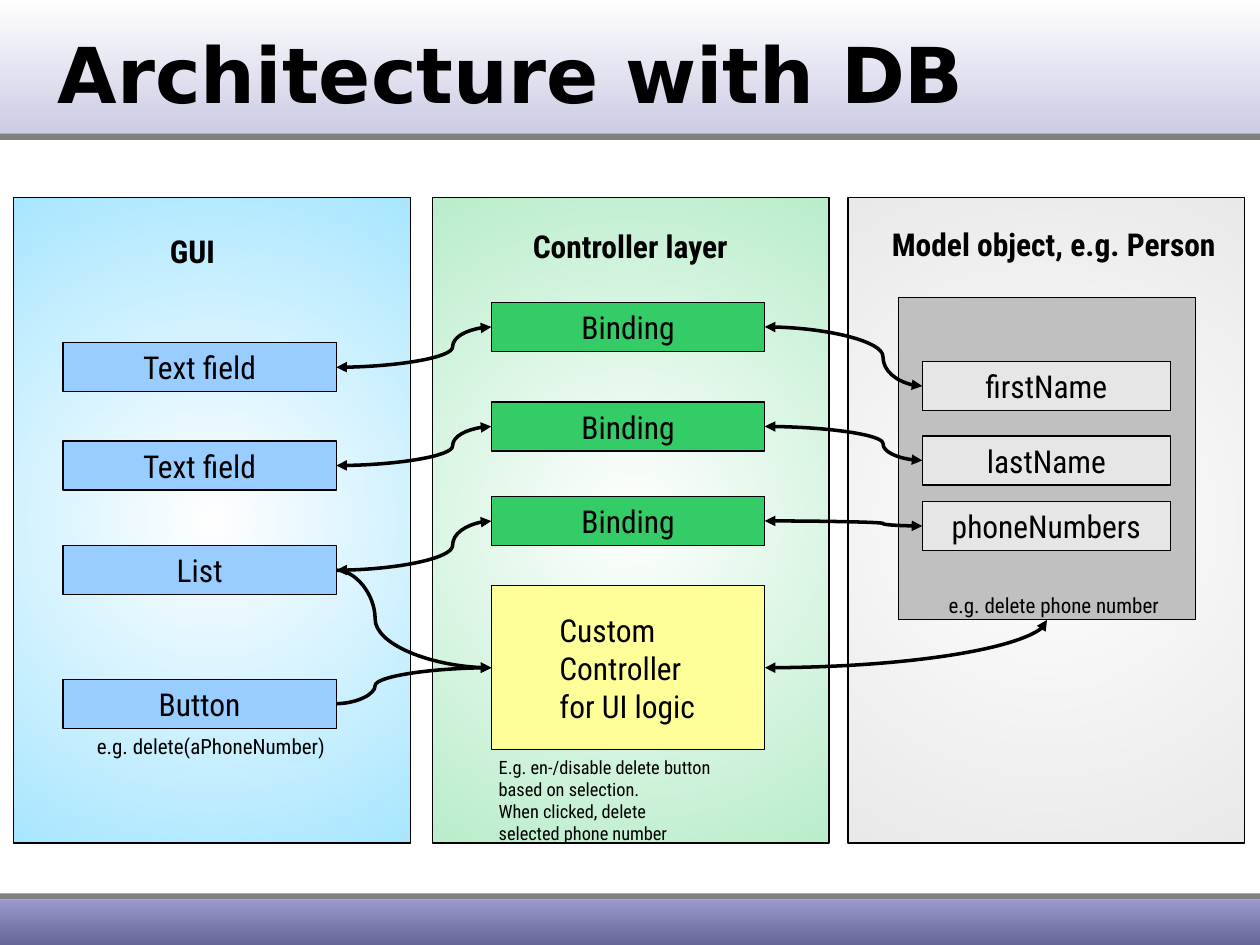
"""Build the "Architecture with DB" slide."""
from typing import NamedTuple

from pptx import Presentation
from pptx.dml.color import RGBColor
from pptx.enum.shapes import MSO_CONNECTOR, MSO_SHAPE
from pptx.enum.text import MSO_ANCHOR, PP_ALIGN
from pptx.oxml import parse_xml
from pptx.oxml.ns import nsdecls, qn
from pptx.util import Pt

PX = 9144
RECT = MSO_SHAPE.RECTANGLE
CURVE = MSO_CONNECTOR.CURVE
MIDDLE, TOP = MSO_ANCHOR.MIDDLE, MSO_ANCHOR.TOP
LEFT, CENTER = PP_ALIGN.LEFT, PP_ALIGN.CENTER
SIDE_LEFT, SIDE_BOTTOM, SIDE_RIGHT = 1, 2, 3
FONT = "Roboto Condensed"
BLACK, GRAY, SILVER = "000000", "808080", "C0C0C0"
BLUE, GREEN, YELLOW, PALE = "99CCFF", "33CC66", "FFFF99", "E6E6E6"
LINEAR = '<a:lin ang="5400000" scaled="0"/>'
RADIAL = ('<a:path path="circle"><a:fillToRect l="50000" t="50000" '
          'r="50000" b="50000"/></a:path>')


class Stop(NamedTuple):
    """A gradient stop with its opacity in percent."""
    color: str
    alpha: int = 100


class Box(NamedTuple):
    """A captioned, outlined rectangle."""
    key: str
    text: str
    x: int
    y: int
    w: int
    h: int
    fill: str


class Label(NamedTuple):
    """A free-standing text."""
    text: str
    x: int
    y: int
    w: int
    h: int
    size: float = 18
    bold: bool = False
    font: str = FONT
    inset: int = 10
    anchor: int = TOP


class Link(NamedTuple):
    """A curved arrow between the sides of two boxes."""
    start: str
    start_side: int
    end: str
    end_side: int
    two_way: bool = True


BANDS = [(106, 5), (709, 5)]
PANELS = [(673, SILVER), (11, "00B8FF"), (343, GREEN)]
BOXES = [
    Box("person", "", 713, 236, 236, 256, SILVER),
    *[Box(f"binding{i}", "Binding", 390, y, 217, 39, GREEN)
      for i, y in enumerate((240, 319, 394))],
    *[Box(f"widget{i}", text, 50, y, 217, 39, BLUE) for i, (text, y) in enumerate(
        [("Text field", 272), ("Text field", 350), ("List", 433), ("Button", 539)])],
    Box("custom", "Custom\nController\nfor UI logic", 390, 465, 217, 130, YELLOW),
    *[Box(f"field{i}", text, 732, y, 197, 39, PALE) for i, (text, y) in enumerate(
        [("firstName", 287), ("lastName", 346), ("phoneNumbers", 398)])],
]
LINKS = [
    *[Link(f"field{i}", SIDE_LEFT, f"binding{i}", SIDE_RIGHT) for i in range(3)],
    Link("custom", SIDE_RIGHT, "person", SIDE_BOTTOM),
    *[Link(f"binding{i}", SIDE_LEFT, f"widget{i}", SIDE_RIGHT) for i in range(3)],
    *[Link(f"widget{i}", SIDE_RIGHT, "custom", SIDE_LEFT, False) for i in (2, 3)],
]
LABELS = [
    Label("Architecture with DB", 46, -5, 900, 125, 44, True, "DejaVu Sans", 0, MIDDLE),
    Label("GUI", 125, 179, 65, 39, bold=True),
    Label("Controller layer", 413, 175, 219, 39, bold=True),
    Label("Model object, e.g. Person", 698, 174, 300, 39, bold=True),
    Label("e.g. delete phone number", 743, 465, 215, 29, 12),
    Label("E.g. en-/disable delete button\nbased on selection.\n"
          "When clicked, delete\nselected phone number", 386, 595, 218, 78, 10.5),
    Label("e.g. delete(aPhoneNumber)", 67, 577, 228, 29, 12),
]


def rgb(color: str) -> RGBColor:
    """Return the colour of a hex string."""
    return RGBColor.from_string(color)


def add_rect(slide, x: int, y: int, w: int, h: int, fill: str = "", outline: bool = False):
    """Add a plain rectangle, optionally filled and outlined."""
    s = slide.shapes.add_shape(RECT, x * PX, y * PX, w * PX, h * PX)
    s.shadow.inherit = False
    if fill:
        s.fill.solid()
        s.fill.fore_color.rgb = rgb(fill)
    if outline:
        s.line.color.rgb = rgb(BLACK)
        s.line.width = 0
    else:
        s.line.fill.background()
    return s


def set_gradient(s, first: Stop, last: Stop, shade: str) -> None:
    """Fill a shape with a two-stop gradient."""
    stops = "".join(
        f'<a:gs pos="{pos}"><a:srgbClr val="{stop.color}">'
        f'<a:alpha val="{stop.alpha * 1000}"/></a:srgbClr></a:gs>'
        for pos, stop in ((0, first), (100000, last)))
    s.element.spPr.insert(2, parse_xml(
        f'<a:gradFill {nsdecls("a")} rotWithShape="1">'
        f'<a:gsLst>{stops}</a:gsLst>{shade}</a:gradFill>'))


def set_text(s, text: str, size: float, bold: bool, font: str, align: int, anchor: int) -> None:
    """Write one paragraph into a shape."""
    tf = s.text_frame
    tf.word_wrap = True
    tf.vertical_anchor = anchor
    p = tf.paragraphs[0]
    p.text = text
    p.alignment = align
    p.font.size = Pt(size)
    p.font.bold = bold
    p.font.name = font
    p.font.color.rgb = rgb(BLACK)


def add_box(slide, box: Box):
    """Add a captioned box; a caption of several lines is set flush left."""
    s = add_rect(slide, box.x, box.y, box.w, box.h, box.fill, True)
    if box.text:
        several = "\n" in box.text
        set_text(s, box.text, 18, False, FONT, LEFT if several else CENTER, MIDDLE)
        if several:
            s.text_frame.margin_left = 54 * PX
    return s


def add_label(slide, label: Label) -> None:
    """Add a text box."""
    s = slide.shapes.add_textbox(label.x * PX, label.y * PX, label.w * PX, label.h * PX)
    set_text(s, label.text, label.size, label.bold, label.font, LEFT, label.anchor)
    tf = s.text_frame
    tf.margin_left = tf.margin_right = label.inset * PX
    tf.margin_top = tf.margin_bottom = label.inset * PX // 2


def add_link(slide, link: Link, boxes: dict) -> None:
    """Join two boxes with a curved arrow."""
    c = slide.shapes.add_connector(CURVE, 0, 0, 0, 0)
    c.begin_connect(boxes[link.start], link.start_side)
    c.end_connect(boxes[link.end], link.end_side)
    c.line.color.rgb = rgb(BLACK)
    c.line.width = 0
    spPr = c.element.spPr
    geom = spPr.find(qn("a:prstGeom"))
    if link.end_side == SIDE_BOTTOM:
        geom.set("prst", "curvedConnector2")
    else:
        geom.find(qn("a:avLst")).append(
            parse_xml(f'<a:gd {nsdecls("a")} name="adj1" fmla="val 25000"/>'))
    for tag in ("headEnd", "tailEnd") if link.two_way else ("tailEnd",):
        spPr.find(qn("a:ln")).append(parse_xml(f'<a:{tag} {nsdecls("a")} type="triangle"/>'))
    spPr.append(parse_xml(f'<a:effectLst {nsdecls("a")}/>'))


def main() -> None:
    """Draw the slide and save it."""
    prs = Presentation()
    prs.slide_width, prs.slide_height = 1000 * PX, 750 * PX
    slide = prs.slides.add_slide(prs.slide_layouts[6])
    set_gradient(add_rect(slide, 0, 0, 1000, 107),
                 Stop("FFFFFF", 50), Stop("9999CC", 50), LINEAR)
    for y, h in BANDS:
        add_rect(slide, 0, y, 1000, h, GRAY)
    set_gradient(add_rect(slide, 0, 714, 1000, 36), Stop("9999CC"), Stop("666699"), LINEAR)
    for x, color in PANELS:
        set_gradient(add_rect(slide, x, 157, 315, 512, outline=True),
                     Stop(color, 0), Stop(color, 35), RADIAL)
    boxes = {box.key: add_box(slide, box) for box in BOXES}
    for link in LINKS:
        add_link(slide, link, boxes)
    for label in LABELS:
        add_label(slide, label)
    prs.save("out.pptx")


if __name__ == "__main__":
    main()
